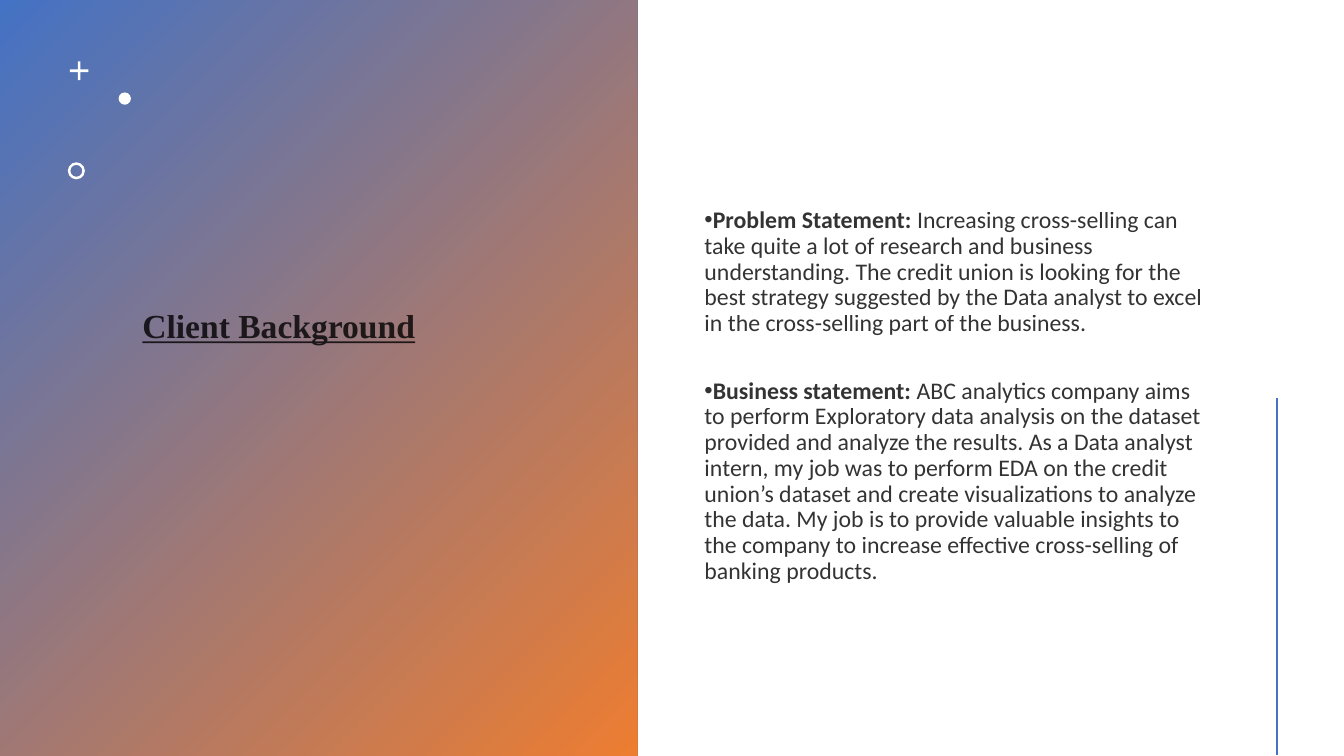
"""Build the client background slide."""
from dataclasses import dataclass
from typing import NamedTuple

from lxml import etree
from pptx import Presentation
from pptx.dml.color import RGBColor
from pptx.enum.dml import MSO_FILL
from pptx.enum.shapes import MSO_CONNECTOR, MSO_SHAPE
from pptx.enum.text import MSO_ANCHOR, MSO_AUTO_SIZE, PP_ALIGN
from pptx.oxml.ns import qn
from pptx.util import Cm, Pt

RECT, CROSS = MSO_SHAPE.RECTANGLE, MSO_SHAPE.CROSS
DOT, RING = MSO_SHAPE.OVAL, MSO_SHAPE.DONUT
STRAIGHT, SOLID = MSO_CONNECTOR.STRAIGHT, MSO_FILL.SOLID
TOP, MIDDLE = MSO_ANCHOR.TOP, MSO_ANCHOR.MIDDLE
LEFT, CENTER = PP_ALIGN.LEFT, PP_ALIGN.CENTER
FIXED = MSO_AUTO_SIZE.NONE


@dataclass(frozen=True)
class Theme:
    """Colours, fonts and sizes."""
    blue: RGBColor = RGBColor(0x44, 0x72, 0xC4)
    orange: RGBColor = RGBColor(0xED, 0x7D, 0x31)
    white: RGBColor = RGBColor(255, 255, 255)
    ink: RGBColor = RGBColor(0, 0, 0)
    alpha: int = 80
    serif: str = "Times New Roman"
    sans: str = "Calibri"
    head: Pt = Pt(24)
    text: Pt = Pt(17)
    rule: Pt = Pt(2)


class Box(NamedTuple):
    """A frame in centimetres."""
    left: float
    top: float
    width: float
    height: float


class Mark(NamedTuple):
    """A small white ornament."""
    kind: int
    box: Box
    adjust: tuple = ()


class Item(NamedTuple):
    """A bold label and its text."""
    label: str
    text: str


THEME = Theme()
PANEL = Box(0, 0, 16.06, 19.05)
HEAD = Box(-0.33, 7.67, 14.71, 1.17)
BODY = Box(17.5, 1.45, 13.26, 16.2)
MARKS = (
    Mark(CROSS, Box(1.76, 1.55, 0.47, 0.47), (0.43,)),
    Mark(DOT, Box(2.99, 2.33, 0.31, 0.31)),
    Mark(RING, Box(1.71, 4.09, 0.43, 0.43), (0.15,)),
)
ITEMS = (
    Item("Problem Statement: ",
         "Increasing cross-selling can take quite a lot of research and "
         "business understanding. The credit union is looking for the best "
         "strategy suggested by the Data analyst to excel in the "
         "cross-selling part of the business."),
    Item("Business statement: ",
         "ABC analytics company aims to perform Exploratory data analysis on "
         "the dataset provided and analyze the results. As a Data analyst "
         "intern, my job was to perform EDA on the credit union’s dataset "
         "and create visualizations to analyze the data. My job is to provide "
         "valuable insights to the company to increase effective "
         "cross-selling of banking products."),
)


def apply(target, props: dict) -> None:
    """Set each named attribute."""
    for name, value in props.items():
        setattr(target, name, value)


def place(shape, box: Box) -> None:
    """Move and size a shape."""
    apply(shape, {name: Cm(size) for name, size in box._asdict().items()})


def draw(slide, mark: Mark):
    """Draw a white shape without line or shadow."""
    shape = slide.shapes.add_shape(mark.kind, *map(Cm, mark.box))
    shape.shadow.inherit = False
    shape.line.fill.background()
    shape.fill.solid()
    shape.fill.fore_color.rgb = THEME.white
    for index, value in enumerate(mark.adjust):
        shape.adjustments[index] = value
    return shape


def panel(slide) -> None:
    """Draw the gradient panel behind everything else."""
    shape = draw(slide, Mark(RECT, PANEL))
    shape.fill.gradient()
    shape.fill.gradient_angle = 315
    tints = (THEME.blue, THEME.orange)
    for index, (stop, tint) in enumerate(zip(shape.fill.gradient_stops, tints)):
        stop.position = index
        stop.color.rgb = tint
    slide.shapes._spTree.insert(2, shape._element)


def write(para, text: str, props: dict) -> None:
    """Add a run in translucent ink."""
    run = para.add_run()
    run.text = text
    apply(run.font, props)
    run.font.color.rgb = THEME.ink
    tint = run._r.find(".//" + qn("a:srgbClr"))
    etree.SubElement(tint, qn("a:alpha"), val=str(THEME.alpha * 1000))


def title(slide, text: str) -> None:
    """Fill the title placeholder."""
    shape = slide.shapes.title
    place(shape, HEAD)
    apply(shape.text_frame, {"auto_size": FIXED, "vertical_anchor": TOP,
                             "word_wrap": True})
    para = shape.text_frame.paragraphs[0]
    apply(para, {"alignment": CENTER, "line_spacing": 0.9,
                 "space_before": Pt(0)})
    write(para, text, {"name": THEME.serif, "size": THEME.head,
                       "bold": True, "underline": True})


def body(slide, items: tuple) -> None:
    """Fill the body placeholder with bullets."""
    shape = slide.placeholders[1]
    place(shape, BODY)
    frame = shape.text_frame
    apply(frame, {"auto_size": FIXED, "vertical_anchor": MIDDLE,
                  "word_wrap": True, "margin_top": Cm(1)})
    for index, item in enumerate(items):
        para = frame.add_paragraph() if index else frame.paragraphs[0]
        apply(para, {"alignment": LEFT, "line_spacing": 0.9,
                     "space_before": Pt(30 if index else 0)})
        props = para._p.get_or_add_pPr()
        props.set("marL", "0")
        props.set("indent", str(-Cm(0.64)))
        etree.SubElement(props, qn("a:buChar"), char="•")
        for text, bold in zip(item, (True, False)):
            write(para, text, {"name": THEME.sans, "size": THEME.text,
                               "bold": bold})


def rule(slide) -> None:
    """Draw the upright line at the right edge."""
    line = slide.shapes.add_connector(
        STRAIGHT, Cm(32.18), Cm(10.03), Cm(32.18), Cm(19.03))
    line.line.color.rgb = THEME.blue
    line.line.width = THEME.rule
    etree.SubElement(line._element.spPr, qn("a:effectLst"))


def main() -> None:
    """Build and save the deck."""
    deck = Presentation()
    apply(deck, {"slide_width": Cm(33.87), "slide_height": Cm(19.05)})
    slide = deck.slides.add_slide(deck.slide_layouts[1])
    panel(slide)
    for mark in MARKS:
        draw(slide, mark)
    title(slide, "Client Background")
    body(slide, ITEMS)
    rule(slide)
    deck.save("out.pptx")


main()
